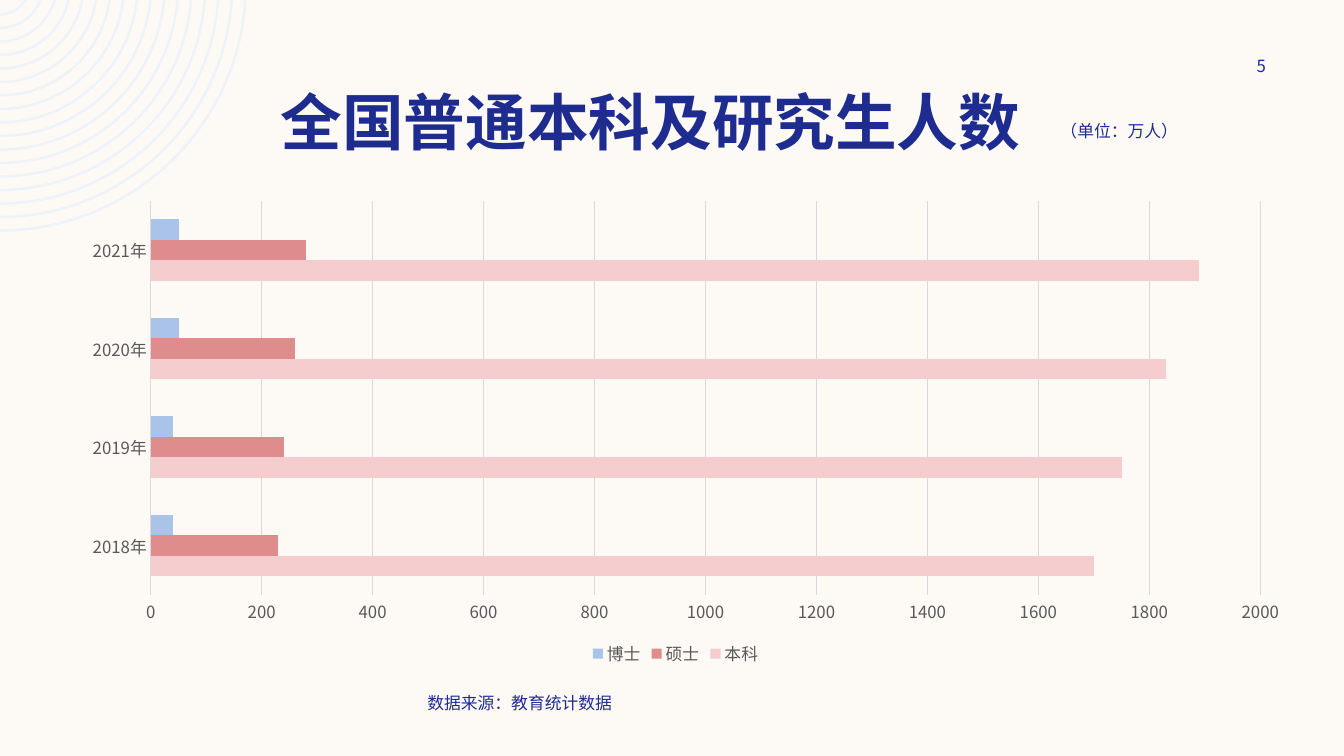
from math import asin, cos, pi, sin, tan

from lxml import etree
from pptx import Presentation
from pptx.chart.data import CategoryChartData
from pptx.dml.color import RGBColor
from pptx.enum.chart import XL_CHART_TYPE, XL_LEGEND_POSITION, XL_TICK_MARK
from pptx.enum.text import MSO_ANCHOR, PP_ALIGN
from pptx.oxml import parse_xml
from pptx.oxml.ns import nsdecls, qn
from pptx.util import Inches, Pt

BAR_CLUSTERED = XL_CHART_TYPE.BAR_CLUSTERED
LEGEND_BOTTOM = XL_LEGEND_POSITION.BOTTOM
NO_TICK = XL_TICK_MARK.NONE
MIDDLE = MSO_ANCHOR.MIDDLE
LEFT, CENTER = PP_ALIGN.LEFT, PP_ALIGN.CENTER

FONT = "Noto Sans CJK SC"
COLORS = {
    "paper": "FDFAF6",
    "ring": "EEF3FA",
    "navy": "1F2C8F",
    "label": "595959",
    "grid": "D9D9D9",
    "本科": "F5CDCE",
    "硕士": "DE8C8C",
    "博士": "AAC3E8",
}


def color(name):
    return RGBColor.from_string(COLORS[name])


def style_font(font, size, color_name, bold=False):
    font.name = FONT
    font.size = Pt(size)
    font.bold = bold
    font.color.rgb = color(color_name)


deck = Presentation()
deck.slide_width, deck.slide_height = Inches(13.33), Inches(7.5)
page = deck.slides.add_slide(deck.slide_layouts[6])
page.background.fill.solid()
page.background.fill.fore_color.rgb = color("paper")

RING_COUNT, RING_STEP, RING_WIDTH = 17, 0.134, 0.025
OUTER_RADIUS, CENTER_RISE = 2.45, 0.15
rings = page.shapes.build_freeform(0, 0)
arc_handles = []
for ring in range(RING_COUNT):
    outer = OUTER_RADIUS - ring * RING_STEP
    arcs = []
    for radius in (outer, outer - RING_WIDTH):
        first = asin(CENTER_RISE / radius)
        reach = radius * 4 / 3 * tan((pi / 2 - first) / 4)
        start_x, start_y = radius * cos(first), 0
        end_x, end_y = 0, radius - CENTER_RISE
        points = [
            (start_x, start_y),
            (start_x - reach * sin(first), start_y + reach * cos(first)),
            (end_x + reach, end_y),
            (end_x, end_y),
        ]
        arcs.append([(Inches(x), Inches(y)) for x, y in points])
    outline = arcs[0] + arcs[1][::-1]
    rings.move_to(*outline[0])
    rings.add_line_segments([outline[3], outline[4], outline[7]], close=True)
    arc_handles += [outline[1:3], outline[5:7]]
corner = rings.convert_to_shape()
corner.shadow.inherit = False
corner.fill.solid()
corner.fill.fore_color.rgb = color("ring")
corner.line.fill.background()

edges = list(corner.element.iter(qn("a:lnTo")))
arc_edges = [edge for index, edge in enumerate(edges) if index % 3 != 1]
for edge, handles in zip(arc_edges, arc_handles):
    edge.tag = qn("a:cubicBezTo")
    for position, (x, y) in enumerate(handles):
        edge.insert(position, etree.Element(qn("a:pt"), x=str(int(x)), y=str(int(y))))

texts = [
    ("全国普通本科及研究生人数", (0.62, 0.78, 11.67, 0.84), 44, True, CENTER),
    ("（单位：万人）", (10.42, 1.15, 3.5, 0.3), 12, False, LEFT),
    ("5", (11.97, 0.5, 1.08, 0.3), 12, False, CENTER),
    ("数据来源：教育统计数据", (4.14, 6.82, 3.5, 0.3), 12, False, LEFT),
]
for text, place, size, bold, alignment in texts:
    box = page.shapes.add_textbox(*map(Inches, place))
    frame = box.text_frame
    frame.word_wrap = True
    frame.vertical_anchor = MIDDLE
    frame.text = text
    para = frame.paragraphs[0]
    para.alignment = alignment
    style_font(para.runs[0].font, size, "navy", bold)

data = CategoryChartData()
data.categories = ["2018年", "2019年", "2020年", "2021年"]
data.add_series("本科", (1700, 1750, 1830, 1890))
data.add_series("硕士", (230, 240, 260, 280))
data.add_series("博士", (40, 40, 50, 50))
chart_place = map(Inches, (0.62, 1.8, 12.16, 4.85))
chart = page.shapes.add_chart(BAR_CLUSTERED, *chart_place, data).chart
chart.has_title = False
style_font(chart.font, 12, "label")

plot = chart.plots[0]
plot.gap_width = 182
plot.overlap = 0
plot.vary_by_categories = False
for series in plot.series:
    series.format.fill.solid()
    series.format.fill.fore_color.rgb = color(series.name)

years, people = chart.category_axis, chart.value_axis
for axis in (years, people):
    axis.major_tick_mark = axis.minor_tick_mark = NO_TICK
    style_font(axis.tick_labels.font, 12, "label")
people.minimum_scale, people.maximum_scale, people.major_unit = 0, 2000, 200
people.has_major_gridlines = True
people.format.line.fill.background()
for line in (years.format.line, people.major_gridlines.format.line):
    line.color.rgb = color("grid")
    line.width = Pt(0.75)

chart.has_legend = True
chart.legend.position = LEGEND_BOTTOM
chart.legend.include_in_layout = False
style_font(chart.legend.font, 12, "label")

plot_area = chart.element.find(".//" + qn("c:plotArea"))
for old_layout in plot_area.findall(qn("c:layout")):
    plot_area.remove(old_layout)
layout = parse_xml(
    f'<c:layout {nsdecls("c")}><c:manualLayout><c:layoutTarget val="inner"/>'
    '<c:xMode val="edge"/><c:yMode val="edge"/><c:x val="0.072"/><c:y val="0.04"/>'
    '<c:w val="0.905"/><c:h val="0.806"/></c:manualLayout></c:layout>')
plot_area.insert(0, layout)

for root in (page.element, chart.element):
    for latin in list(root.iter(qn("a:latin"))):
        east_asian = etree.Element(qn("a:ea"), typeface=FONT)
        latin.addnext(east_asian)

deck.save("out.pptx")
